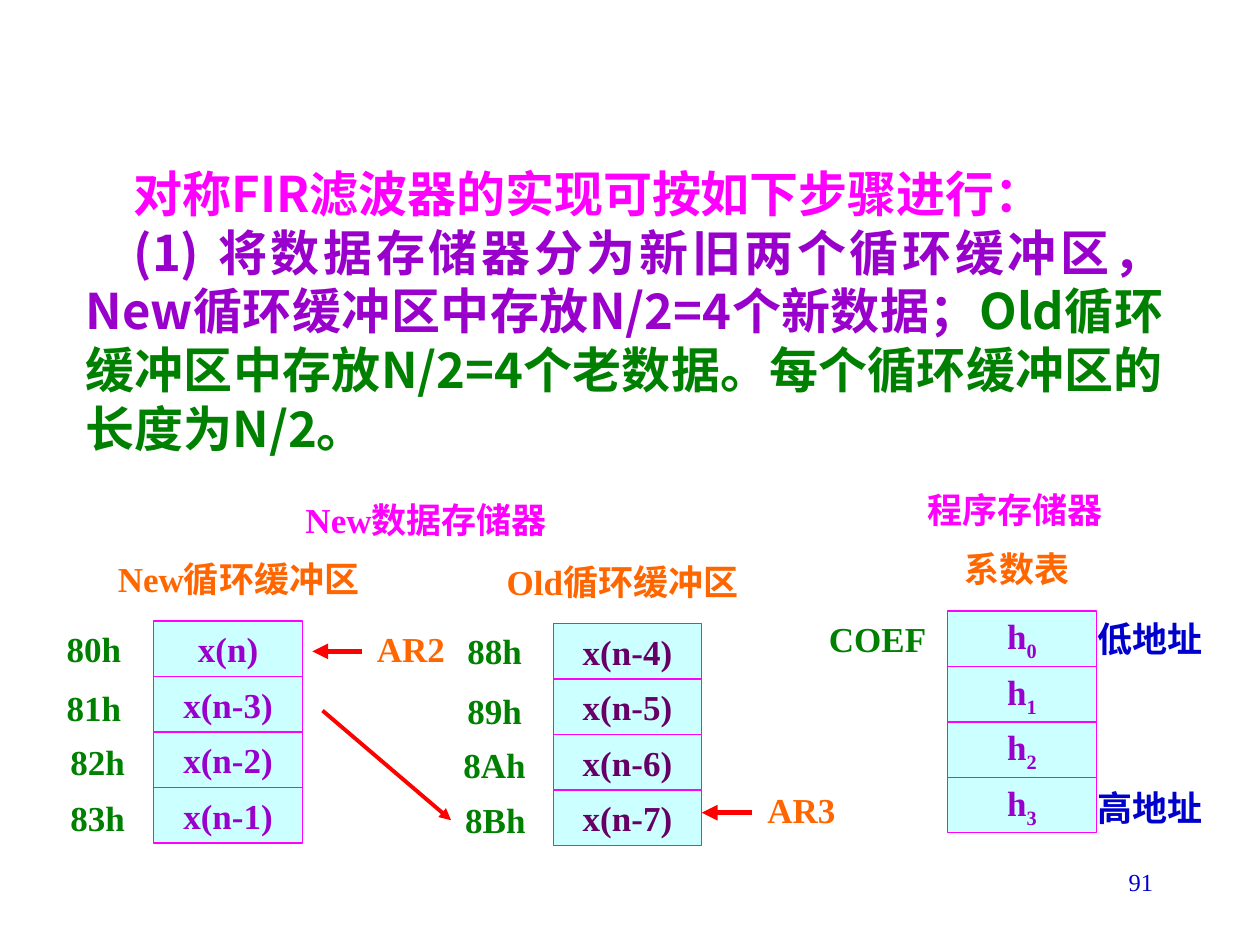
import pptx
import pptx.util
import pptx.dml.color
import pptx.enum.shapes
import pptx.enum.text
import pptx.oxml.ns
import lxml.etree

Inches, Pt = pptx.util.Inches, pptx.util.Pt
Align = pptx.enum.text.PP_ALIGN
Anchor = pptx.enum.text.MSO_ANCHOR
qn = pptx.oxml.ns.qn

SERIF, SANS = "Times New Roman", "Noto Sans CJK SC"
PINK, PURPLE, PLUM = "FF00FF", "9900CC", "660066"
GREEN, ORANGE, BLUE = "008000", "FF6600", "0000CC"
RED, CYAN = "FF0000", "CCFFFF"

BODY = [
    [("对称FIR滤波器的实现可按如下步骤进行：", PINK)],
    [("(1) 将数据存储器分为新旧两个循环缓冲区，New循环缓冲区中存放N/2=4个新数据；", PURPLE),
     ("Old循环缓冲区中存放N/2=4个老数据。每个循环缓冲区的长度为N/2。", GREEN)],
]

# left, top, text colour, cells as (text, subscript)
STACKS = [
    (1.22, 4.93, PURPLE, [("x(n)", ""), ("x(n-3)", ""), ("x(n-2)", ""), ("x(n-1)", "")]),
    (4.39, 4.95, PLUM, [("x(n-4)", ""), ("x(n-5)", ""), ("x(n-6)", ""), ("x(n-7)", "")]),
    (7.52, 4.85, PURPLE, [("h", "0"), ("h", "1"), ("h", "2"), ("h", "3")]),
]
CELL_W, CELL_H = 1.18, 0.44

# left, top, addresses
ADDRESSES = [
    (0.35, 4.93, ["80h", "81h", "82h", "83h"]),
    (3.53, 4.95, ["88h", "89h", "8Ah", "8Bh"]),
]
STEPS = [(0, 0), (0, 0.47), (0.03, 0.9), (0.03, 1.34)]

# text, left, top, width, colour, alignment
LABELS = [
    ("New数据存储器", 2.16, 3.91, 2.28, PINK, Align.RIGHT),
    ("程序存储器", 7.2, 3.83, 1.65, PINK, Align.RIGHT),
    ("New循环缓冲区", 0.67, 4.38, 2.28, ORANGE, Align.RIGHT),
    ("Old循环缓冲区", 3.76, 4.4, 2.2, ORANGE, Align.RIGHT),
    ("系数表", 7.44, 4.3, 1.26, ORANGE, Align.CENTER),
    ("AR2", 2.87, 4.93, 0.76, ORANGE, Align.RIGHT),
    ("AR3", 5.97, 6.21, 0.76, ORANGE, Align.RIGHT),
    ("COEF", 6.42, 4.85, 1.03, GREEN, Align.RIGHT),
    ("低地址", 8.46, 4.85, 1.18, BLUE, Align.RIGHT),
    ("高地址", 8.46, 6.19, 1.18, BLUE, Align.RIGHT),
]
LABEL_H = 0.43

# start, end, width in points
ARROWS = [
    ((2.87, 5.17), (2.48, 5.17), 3),
    ((5.97, 6.45), (5.57, 6.45), 3),
    ((2.56, 5.64), (3.58, 6.51), 2.25),
]


def rgb(code):
    return pptx.dml.color.RGBColor.from_string(code)


def add_run(para, text, color, size=20, face=SERIF, bold=True):
    run = para.add_run()
    run.text = text
    font = run.font
    font.size, font.bold, font.name = Pt(size), bold, face
    font.color.rgb = rgb(color)
    lxml.etree.SubElement(font._element, qn("a:ea")).set("typeface", SANS)
    return run


def add_label(slide, text, x, y, w, color, align):
    frame = slide.shapes.add_textbox(
        Inches(x), Inches(y), Inches(w), Inches(LABEL_H)).text_frame
    frame.word_wrap = True
    frame.vertical_anchor = Anchor.MIDDLE
    para = frame.paragraphs[0]
    para.alignment = align
    add_run(para, text, color)


def add_cell(slide, x, y, color, text, sub):
    cell = slide.shapes.add_shape(
        pptx.enum.shapes.MSO_SHAPE.RECTANGLE,
        Inches(x), Inches(y), Inches(CELL_W), Inches(CELL_H))
    cell.shadow.inherit = False
    cell.fill.solid()
    cell.fill.fore_color.rgb = rgb(CYAN)
    cell.line.color.rgb = rgb(PINK)
    cell.line.width = Pt(0.75)
    frame = cell.text_frame
    frame.vertical_anchor = Anchor.MIDDLE
    para = frame.paragraphs[0]
    para.alignment = Align.CENTER
    add_run(para, text, color)
    if sub:
        add_run(para, sub, color).font._element.set("baseline", "-25000")


def add_arrow(slide, start, end, width):
    arrow = slide.shapes.add_connector(
        pptx.enum.shapes.MSO_CONNECTOR.STRAIGHT,
        *[Inches(v) for v in start + end])
    arrow.line.color.rgb = rgb(RED)
    arrow.line.width = Pt(width)
    line = arrow.line._get_or_add_ln()
    lxml.etree.SubElement(line, qn("a:tailEnd")).set("type", "triangle")
    lxml.etree.SubElement(arrow._element.spPr, qn("a:effectLst"))


def fill_body(body):
    body.left, body.top = Inches(0.58), Inches(1.25)
    body.width, body.height = Inches(8.75), Inches(2.44)
    frame = body.text_frame
    frame.auto_size = pptx.enum.text.MSO_AUTO_SIZE.NONE
    frame.vertical_anchor = Anchor.TOP
    for i, runs in enumerate(BODY):
        para = frame.add_paragraph() if i else frame.paragraphs[0]
        props = para._p.get_or_add_pPr()
        props.set("marL", "0")
        props.set("indent", str(Inches(0.38)))
        lxml.etree.SubElement(props, qn("a:buNone"))
        para.alignment = Align.JUSTIFY
        para.line_spacing = Pt(33.5)
        para.space_before = Pt(0)
        for text, color in runs:
            add_run(para, text, color, 28, SANS)


def add_number(slide, text):
    frame = slide.shapes.add_textbox(
        Inches(7.17), Inches(6.83), Inches(2.08), Inches(0.5)).text_frame
    frame.word_wrap = True
    para = frame.paragraphs[0]
    para.alignment = Align.RIGHT
    add_run(para, text, BLUE, 14, bold=False)


def main():
    deck = pptx.Presentation()
    deck.slide_width, deck.slide_height = Inches(10), Inches(7.5)
    slide = deck.slides.add_slide(deck.slide_layouts[1])
    title = slide.shapes.title._element
    title.getparent().remove(title)
    fill_body(slide.placeholders[1])
    add_number(slide, "91")
    for x, y, names in ADDRESSES:
        for name, (dx, dy) in zip(names, STEPS):
            add_label(slide, name, x + dx, y + dy, 0.71, GREEN, Align.RIGHT)
    for x, y, color, cells in STACKS:
        for row, (text, sub) in enumerate(cells):
            add_cell(slide, x, y + row * CELL_H, color, text, sub)
    for label in LABELS:
        add_label(slide, *label)
    for arrow in ARROWS:
        add_arrow(slide, *arrow)
    deck.save("out.pptx")


if __name__ == "__main__":
    main()
